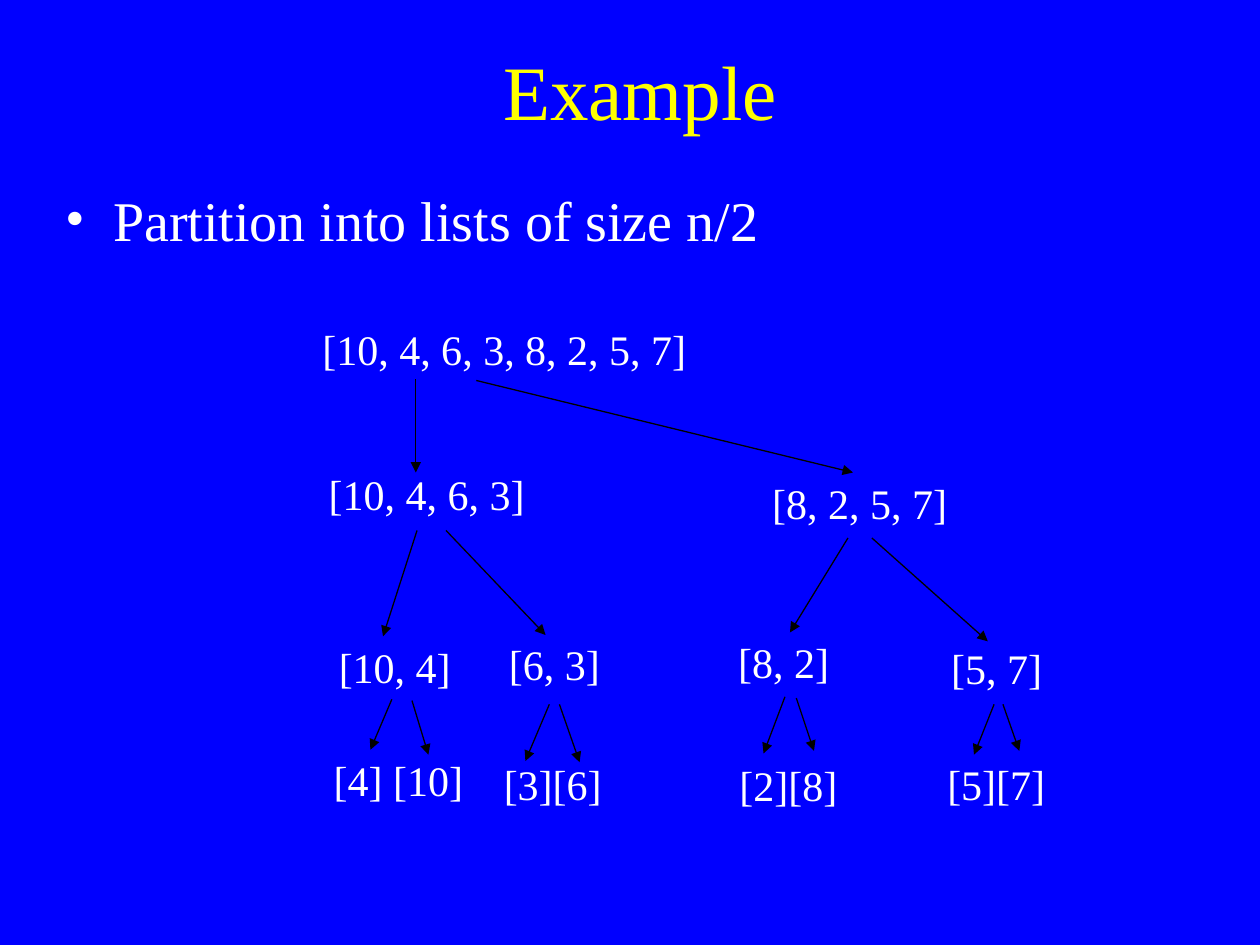
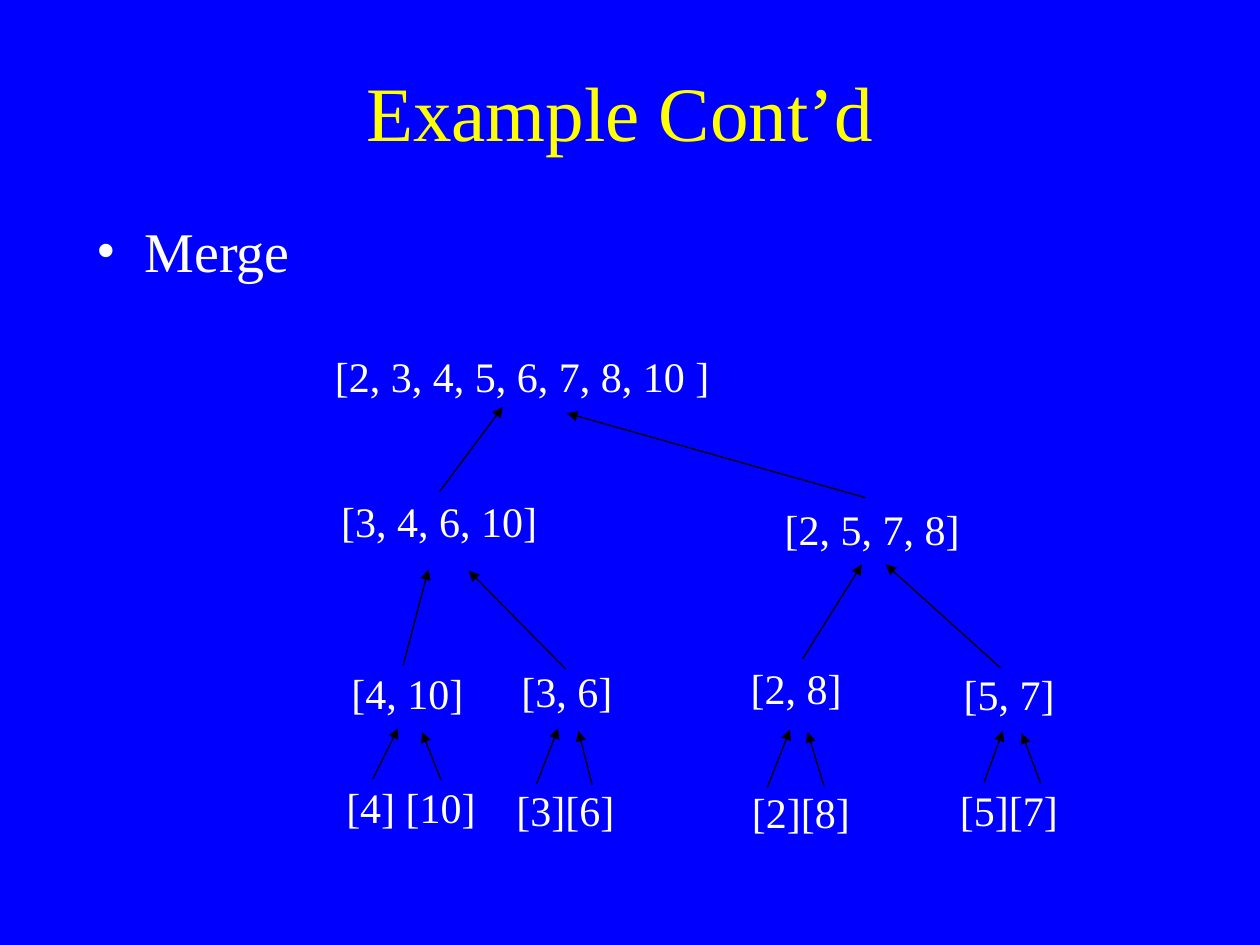
"""Build two slides that show merge sort as a tree of lists."""
from dataclasses import dataclass
from typing import NamedTuple

from lxml import etree
from pptx import Presentation
from pptx import util as u
from pptx.dml import color
from pptx.enum import shapes, text
from pptx.oxml import ns

PX = u.Inches(1) // 100


@dataclass(frozen=True)
class Theme:
    """Colours, font and type sizes shared by the slides."""
    background: str = "0000FF"
    title: str = "FFFF00"
    body: str = "FFFFFF"
    arrow: str = "000000"
    font: str = "Times New Roman"
    title_size: int = 44
    bullet_size: int = 32
    node_size: int = 24
    arrow_width: float = 0.75


class Box(NamedTuple):
    """Left, top, width and height in px."""
    left: int
    top: int
    width: int
    height: int

    def shifted(self, x: int, y: int) -> "Box":
        """Return the box moved by x and y."""
        return Box(self.left + x, self.top + y, self.width, self.height)

    def emu(self) -> list[int]:
        """Return the box in EMU."""
        return [length * PX for length in self]


class Arrow(NamedTuple):
    """Start and end point in px, with the head at the end."""
    x1: int
    y1: int
    x2: int
    y2: int


@dataclass(frozen=True)
class TreeSlide:
    """Content of one slide; lists run level by level from the root."""
    title: str
    title_box: Box
    bullet: str
    bullet_box: Box
    tree_shift: tuple[int, int]
    lists: tuple[str, ...]
    arrows: tuple[Arrow, ...]


THEME = Theme()
NODE_HEIGHT = 50
BULLET_INDENT = 38
NODE_BOXES = tuple(Box(left, top, width, NODE_HEIGHT) for left, top, width in (
    (246, 252, 325),
    (251, 367, 182), (603, 374, 166),
    (259, 504, 115), (394, 502, 98), (576, 500, 98), (745, 505, 98),
    (255, 594, 130), (390, 597, 104), (577, 598, 104), (742, 597, 104),
))
LEAVES = ("[4] [10]", "[3][6]", "[2][8]", "[5][7]")

SLIDES = (
    TreeSlide(
        "Example", Box(83, 25, 850, 92),
        "Partition into lists of size n/2", Box(42, 142, 850, 100),
        (0, 0),
        ("[10, 4, 6, 3, 8, 2, 5, 7]", "[10, 4, 6, 3]", "[8, 2, 5, 7]",
         "[10, 4]", "[6, 3]", "[8, 2]", "[5, 7]", *LEAVES),
        (Arrow(330, 301, 330, 375), Arrow(378, 302, 677, 375),
         Arrow(331, 421, 304, 505), Arrow(354, 421, 433, 504),
         Arrow(673, 427, 627, 502), Arrow(692, 427, 784, 509),
         Arrow(311, 555, 294, 595), Arrow(327, 556, 340, 599),
         Arrow(436, 559, 417, 604), Arrow(444, 559, 460, 605),
         Arrow(623, 553, 606, 598), Arrow(632, 554, 646, 596),
         Arrow(789, 559, 773, 599), Arrow(796, 559, 809, 596)),
    ),
    TreeSlide(
        "Example Cont’d", Box(67, 25, 850, 125),
        "Merge", Box(67, 167, 850, 83),
        (10, 21),
        ("[2, 3, 4, 5, 6, 7, 8, 10 ]", "[3, 4, 6, 10]", "[2, 5, 7, 8]",
         "[4, 10]", "[3, 6]", "[2, 8]", "[5, 7]", *LEAVES),
        (Arrow(349, 390, 399, 323), Arrow(687, 395, 450, 328),
         Arrow(320, 528, 340, 452), Arrow(449, 531, 372, 453),
         Arrow(637, 523, 684, 448), Arrow(794, 530, 703, 448),
         Arrow(296, 618, 316, 578), Arrow(350, 619, 335, 581),
         Arrow(426, 622, 443, 578), Arrow(470, 623, 459, 580),
         Arrow(609, 625, 627, 579), Arrow(654, 624, 641, 581),
         Arrow(781, 621, 796, 580), Arrow(826, 622, 811, 582)),
    ),
)


def add_run(paragraph, words: str, size: int, rgb: str) -> None:
    """Add one formatted run to a paragraph."""
    run = paragraph.add_run()
    run.text = words
    run.font.name = THEME.font
    run.font.size = u.Pt(size)
    run.font.color.rgb = color.RGBColor.from_string(rgb)


def add_title(slide, words: str, box: Box) -> None:
    """Place and fill the title placeholder."""
    title = slide.shapes.title
    title.left, title.top, title.width, title.height = box.emu()
    frame = title.text_frame
    frame.auto_size = text.MSO_AUTO_SIZE.NONE
    frame.vertical_anchor = text.MSO_ANCHOR.MIDDLE
    paragraph = frame.paragraphs[0]
    paragraph.alignment = text.PP_ALIGN.CENTER
    add_run(paragraph, words, THEME.title_size, THEME.title)


def add_text(slide, words: str, box: Box, size: int, wrap: bool):
    """Add a text box with one run and return its paragraph."""
    frame = slide.shapes.add_textbox(*box.emu()).text_frame
    frame.word_wrap = wrap
    paragraph = frame.paragraphs[0]
    add_run(paragraph, words, size, THEME.body)
    return paragraph


def add_bullet(slide, words: str, box: Box) -> None:
    """Add a bulleted line with a hanging indent."""
    paragraph = add_text(slide, words, box, THEME.bullet_size, True)
    properties = paragraph._p.get_or_add_pPr()
    properties.set("marL", str(BULLET_INDENT * PX))
    properties.set("indent", str(-BULLET_INDENT * PX))
    bullet_color = etree.SubElement(properties, ns.qn("a:buClr"))
    etree.SubElement(bullet_color, ns.qn("a:srgbClr"), val=THEME.body)
    etree.SubElement(properties, ns.qn("a:buFont"), typeface=THEME.font)
    etree.SubElement(properties, ns.qn("a:buChar"), char="•")


def add_arrow(slide, arrow: Arrow) -> None:
    """Draw a straight line with a triangular head at its end."""
    connector = slide.shapes.add_connector(
        shapes.MSO_CONNECTOR.STRAIGHT, *(length * PX for length in arrow))
    connector.line.color.rgb = color.RGBColor.from_string(THEME.arrow)
    connector.line.width = u.Pt(THEME.arrow_width)
    properties = connector.element.spPr
    etree.SubElement(properties.find(ns.qn("a:ln")), ns.qn("a:tailEnd"), type="triangle")
    etree.SubElement(properties, ns.qn("a:effectLst"))


def add_tree_slide(presentation, content: TreeSlide) -> None:
    """Add one slide with its title, bullet and tree."""
    slide = presentation.slides.add_slide(presentation.slide_layouts.get_by_name("Title Only"))
    add_title(slide, content.title, content.title_box)
    add_bullet(slide, content.bullet, content.bullet_box)
    for words, box in zip(content.lists, NODE_BOXES):
        add_text(slide, words, box.shifted(*content.tree_shift), THEME.node_size, False)
    for arrow in content.arrows:
        add_arrow(slide, arrow)


def main() -> None:
    """Build and save the presentation."""
    presentation = Presentation()
    presentation.slide_width, presentation.slide_height = 1000 * PX, 750 * PX
    fill = presentation.slide_master.background.fill
    fill.solid()
    fill.fore_color.rgb = color.RGBColor.from_string(THEME.background)
    for content in SLIDES:
        add_tree_slide(presentation, content)
    presentation.save("out.pptx")


if __name__ == "__main__":
    main()
